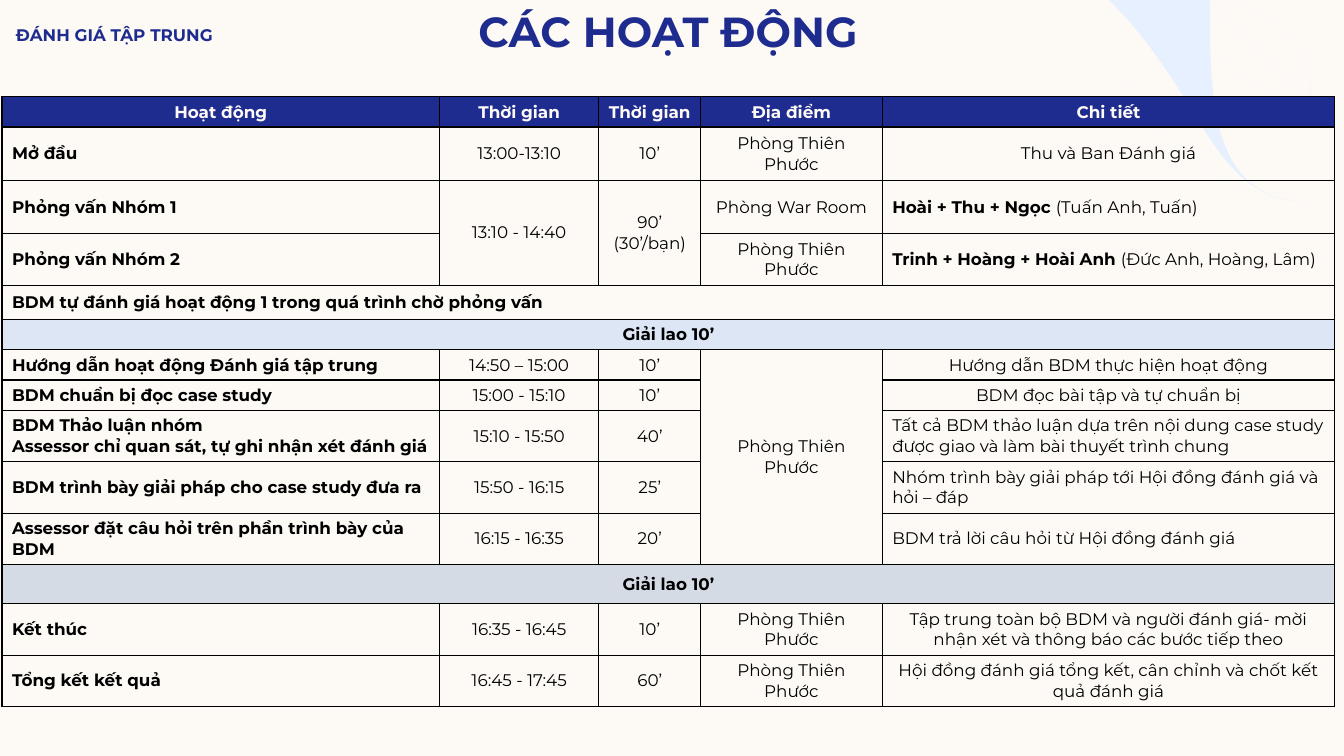
import math

import lxml.etree
import pptx
import pptx.dml.color
import pptx.enum.text
import pptx.oxml.ns
import pptx.util

RGBColor = pptx.dml.color.RGBColor
NAVY = RGBColor(0x1F, 0x2C, 0x8F)
CREAM = RGBColor(0xFD, 0xFA, 0xF6)
BLACK = RGBColor(0, 0, 0)
RING_BLUE = RGBColor(0xE6, 0xF0, 0xFE)
BREAK_BLUE = RGBColor(0xDC, 0xE6, 0xF5)
BREAK_GRAY = RGBColor(0xD5, 0xDB, 0xE5)

FONT = "Montserrat"
LEFT = pptx.enum.text.PP_ALIGN.LEFT
CENTER = pptx.enum.text.PP_ALIGN.CENTER
ANCHOR = pptx.enum.text.MSO_ANCHOR
inches = pptx.util.Inches
qn = pptx.oxml.ns.qn

WIDTH, HEIGHT = 13.33, 7.5

COLUMN_WIDTHS = [4.34, 1.58, 1.01, 1.8, 4.49]
ROW_HEIGHTS = [0.3, 0.53, 0.53, 0.51, 0.34, 0.3, 0.3, 0.3,
               0.51, 0.51, 0.51, 0.39, 0.51, 0.51]
ROOM = "Phòng Thiên Phước"
# Activity, time, duration, place, details; "|" ends the bold part of the details
AGENDA = [
    ["Hoạt động", "Thời gian", "Thời gian", "Địa điểm", "Chi tiết"],
    ["Mở đầu", "13:00-13:10", "10’", ROOM, "Thu và Ban Đánh giá"],
    ["Phỏng vấn Nhóm 1", "13:10 - 14:40", "90’\n(30’/bạn)", "Phòng War Room",
     "Hoài + Thu + Ngọc |(Tuấn Anh, Tuấn)"],
    ["Phỏng vấn Nhóm 2", "", "", ROOM,
     "Trinh + Hoàng + Hoài Anh |(Đức Anh, Hoàng, Lâm)"],
    ["BDM tự đánh giá hoạt động 1 trong quá trình chờ phỏng vấn"],
    ["Giải lao 10’"],
    ["Hướng dẫn hoạt động Đánh giá tập trung", "14:50 – 15:00", "10’", ROOM,
     "Hướng dẫn BDM thực hiện hoạt động"],
    ["BDM chuẩn bị đọc case study", "15:00 - 15:10", "10’", "",
     "BDM đọc bài tập và tự chuẩn bị"],
    ["BDM Thảo luận nhóm\nAssessor chỉ quan sát, tự ghi nhận xét đánh giá",
     "15:10 - 15:50", "40’", "",
     "Tất cả BDM thảo luận dựa trên nội dung case study được giao "
     "và làm bài thuyết trình chung"],
    ["BDM trình bày giải pháp cho case study đưa ra", "15:50 - 16:15", "25’", "",
     "Nhóm trình bày giải pháp tới Hội đồng đánh giá và hỏi – đáp"],
    ["Assessor đặt câu hỏi trên phần trình bày của BDM", "16:15 - 16:35", "20’", "",
     "BDM trả lời câu hỏi từ Hội đồng đánh giá"],
    ["Giải lao 10’"],
    ["Kết thúc", "16:35 - 16:45", "10’", ROOM,
     "Tập trung toàn bộ BDM và người đánh giá- mời nhận xét "
     "và thông báo các bước tiếp theo"],
    ["Tổng kết kết quả", "16:45 - 17:45", "60’", ROOM,
     "Hội đồng đánh giá tổng kết, cân chỉnh và chốt kết quả đánh giá"],
]
ROW_FILLS = {0: NAVY, 5: BREAK_BLUE, 11: BREAK_GRAY}
LEFT_DETAIL_ROWS = {2, 3, 8, 9, 10}
# First row, first column, last row, last column
MERGES = [(2, 1, 3, 1), (2, 2, 3, 2), (6, 3, 10, 3),
          (4, 0, 4, 4), (5, 0, 5, 4), (11, 0, 11, 4)]


def style_run(run, size, color, bold):
    run.font.name = FONT
    run.font.size = pptx.util.Pt(size)
    run.font.color.rgb = color
    run.font.bold = bold


def place(shape, left, top, width, height):
    shape.left, shape.top = inches(left), inches(top)
    shape.width, shape.height = inches(width), inches(height)


def arc_points(center_x, center_y, radius):
    """Start, two controls and end of the arc from the slide's top to its right."""
    start = math.asin(-center_y / radius)
    sweep = math.pi / 2 - start
    pull = 4 / 3 * math.tan(sweep / 4) * radius
    x = center_x - radius * math.cos(start)
    y = center_y + radius * math.sin(start)
    bottom = center_y + radius
    return [(x, y), (x + pull * math.sin(start), y + pull * math.cos(start)),
            (center_x - pull, bottom), (center_x, bottom)]


def bend_arcs(shape):
    """Join each three points of an arc into one curve."""
    for contour_start in list(shape._element.iter(qn("a:moveTo"))):
        lines = [node for node in contour_start.itersiblings()][:7]
        for arc in (lines[:3], lines[4:]):
            curve = lxml.etree.Element(qn("a:cubicBezTo"))
            arc[0].addprevious(curve)
            for line in arc:
                curve.append(line[0])
                line.getparent().remove(line)


def add_rings(slide, right, reach):
    """Concentric arcs cut off by the top right corner of the slide."""
    count, thickness, rise, inner = 17, 0.02, 0.15, 0.32
    rings = None
    for index in range(count):
        outer = reach - index * (reach - inner) / (count - 1)
        outline = (arc_points(right, -rise, outer)
                   + arc_points(right, -rise, outer - thickness)[::-1])
        if rings is None:
            rings = slide.shapes.build_freeform(*outline[0], scale=inches(1))
        else:
            rings.move_to(*outline[0])
        rings.add_line_segments(outline[1:], close=True)
    shape = rings.convert_to_shape()
    bend_arcs(shape)
    shape.fill.solid()
    shape.fill.fore_color.rgb = RING_BLUE
    shape.line.fill.background()
    shape.shadow.inherit = False


def add_heading(slide, left, top, width):
    # Centred title
    title = slide.shapes.title
    place(title, left + (width - 11.67) / 2 - 0.04, top, 11.67, 0.84)
    title.text_frame.text = "CÁC HOẠT ĐỘNG"
    title.text_frame.vertical_anchor = ANCHOR.TOP
    title.text_frame.paragraphs[0].alignment = CENTER
    style_run(title.text_frame.paragraphs[0].runs[0], 30, NAVY, True)

    # Section label
    section = slide.shapes.add_textbox(
        inches(left + 0.06), inches(top + 0.2), inches(3.5), inches(0.3))
    section.text_frame.word_wrap = True
    section.text_frame.vertical_anchor = ANCHOR.MIDDLE
    section.text_frame.text = "ĐÁNH GIÁ TẬP TRUNG"
    style_run(section.text_frame.paragraphs[0].runs[0], 12, NAVY, True)


def set_borders(cell):
    properties = cell._tc.get_or_add_tcPr()
    for position, side in enumerate(("a:lnL", "a:lnR", "a:lnT", "a:lnB")):
        line = lxml.etree.Element(qn(side), w=str(pptx.util.Pt(1)))
        fill = lxml.etree.SubElement(line, qn("a:solidFill"))
        lxml.etree.SubElement(fill, qn("a:srgbClr"), val=str(BLACK))
        properties.insert(position, line)


def fill_cell(cell, row, column, text):
    if row in ROW_FILLS:
        cell.fill.solid()
        cell.fill.fore_color.rgb = ROW_FILLS[row]
    else:
        cell.fill.background()
    set_borders(cell)
    cell.vertical_anchor = ANCHOR.MIDDLE

    bold_part, mark, plain_part = text.partition("|")
    cell.text_frame.text = bold_part
    if mark:
        cell.text_frame.paragraphs[0].add_run().text = plain_part
    to_left = (column == 0 and row not in ROW_FILLS
               or column == 4 and row in LEFT_DETAIL_ROWS)
    for paragraph in cell.text_frame.paragraphs:
        paragraph.alignment = LEFT if to_left else CENTER
        for index, run in enumerate(paragraph.runs):
            bold = row == 0 or column == 0 or (bool(mark) and index == 0)
            style_run(run, 12, CREAM if row == 0 else BLACK, bold)


def add_agenda(slide, left, top):
    table = slide.shapes.add_table(
        len(AGENDA), len(COLUMN_WIDTHS), inches(left), inches(top),
        inches(sum(COLUMN_WIDTHS)), inches(sum(ROW_HEIGHTS))).table
    table.first_row = table.horz_banding = False
    for column, width in zip(table.columns, COLUMN_WIDTHS):
        column.width = inches(width)
    for row, height in zip(table.rows, ROW_HEIGHTS):
        row.height = inches(height)
    for row, entries in enumerate(AGENDA):
        for column in range(len(COLUMN_WIDTHS)):
            text = entries[column] if column < len(entries) else ""
            fill_cell(table.cell(row, column), row, column, text)
    for first_row, first_column, last_row, last_column in MERGES:
        table.cell(first_row, first_column).merge(table.cell(last_row, last_column))


def main():
    deck = pptx.Presentation()
    deck.slide_width, deck.slide_height = inches(WIDTH), inches(HEIGHT)
    slide = deck.slides.add_slide(deck.slide_layouts.get_by_name("Title Only"))
    slide.background.fill.solid()
    slide.background.fill.fore_color.rgb = CREAM
    add_rings(slide, WIDTH, 2.54)
    add_heading(slide, 0, 0, WIDTH)
    add_agenda(slide, 0.02, 0.96)
    deck.save("out.pptx")


if __name__ == "__main__":
    main()
